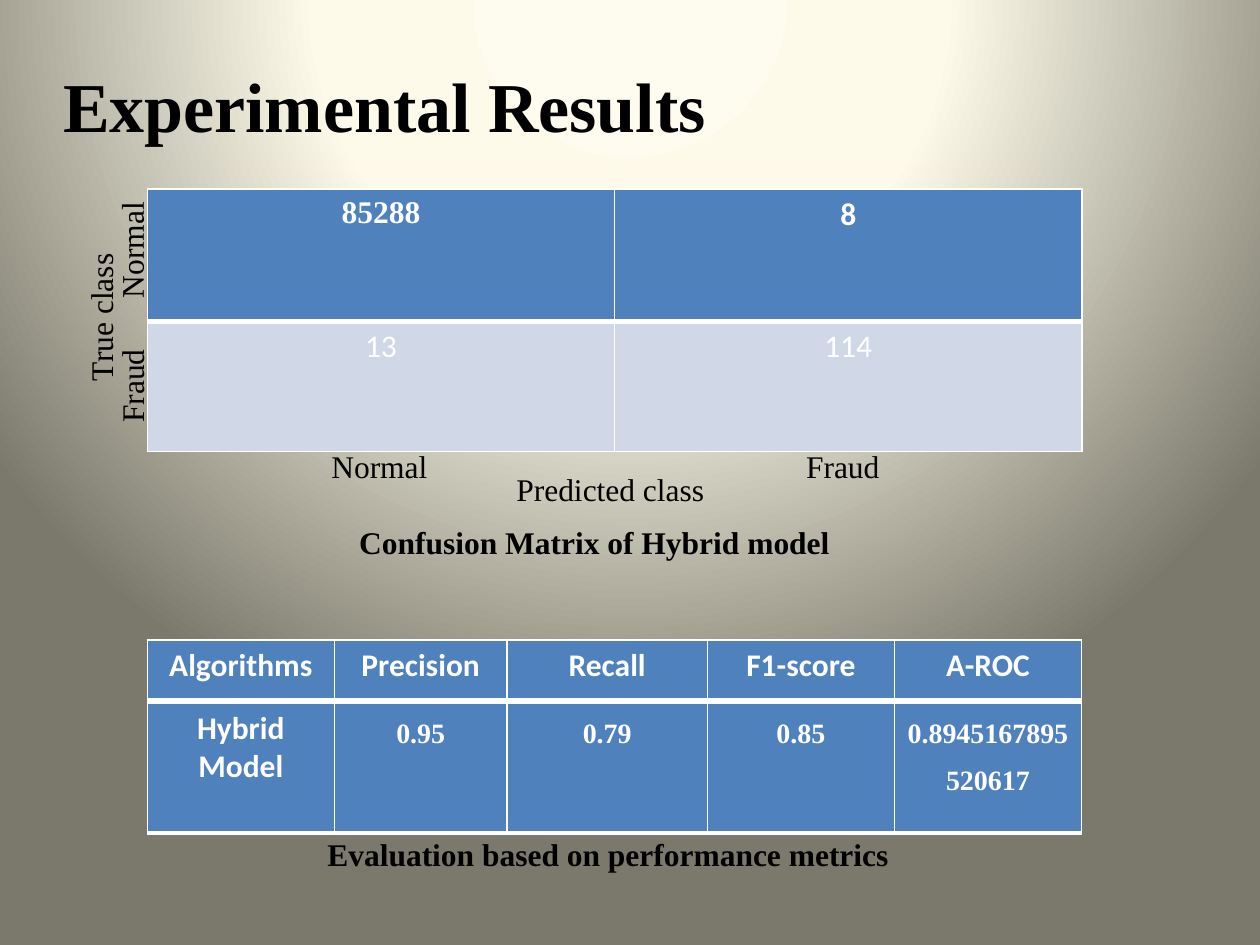
from lxml import etree
from pptx import Presentation
from pptx import util as u
from pptx.dml.color import RGBColor
from pptx.enum import text
from pptx.oxml import parse_xml
from pptx.oxml.ns import nsdecls

COLORS = {"ink": "000000", "white": "FFFFFF", "blue": "4F81BD", "pale": "D0D8E8",
          "cream": "FEFCEE", "ivory": "FDFAEA", "olive": "7B796B"}
SERIF, SANS = "Times New Roman", "Calibri"
LEFT = 2.97


def write(frame, words, size=18, font=SERIF, color="ink", bold=False, align="LEFT", spacing=None):
    para = frame.paragraphs[0]
    para.alignment = getattr(text.PP_ALIGN, align)
    para.line_spacing = spacing
    span = para.add_run()
    span.text = words
    span.font.size = u.Pt(size)
    span.font.name = font
    span.font.bold = bold
    span.font.color.rgb = RGBColor.from_string(COLORS[color])


def style_cell(cell, fill, bottom):
    """Give a cell white borders, a bottom border of its own width, and a solid fill."""
    props = cell._tc.get_or_add_tcPr()
    for side, points in (("L", 1), ("R", 1), ("T", 1), ("B", bottom)):
        props.append(parse_xml(
            f'<a:ln{side} {nsdecls("a")} w="{u.Pt(points)}"><a:solidFill>'
            f'<a:srgbClr val="{COLORS["white"]}"/></a:solidFill></a:ln{side}>'))
    cell.fill.solid()
    cell.fill.fore_color.rgb = RGBColor.from_string(COLORS[fill])


deck = Presentation()
deck.slide_width, deck.slide_height = u.Cm(25.4), u.Cm(19.05)
page = deck.slides.add_slide(deck.slide_layouts[5])

# Radial background
page.background.fill.gradient()
gradient = page.background._cSld.bg.bgPr[0]
for child in list(gradient):
    gradient.remove(child)
stops = etree.SubElement(gradient, "{%s}gsLst" % gradient.nsmap["a"])
for position, name in ((0, "cream"), (40, "ivory"), (100, "olive")):
    stops.append(parse_xml(f'<a:gs {nsdecls("a")} pos="{position * 1000}">'
                           f'<a:srgbClr val="{COLORS[name]}"/></a:gs>'))
gradient.append(parse_xml(
    f'<a:path {nsdecls("a")} path="circle">'
    '<a:fillToRect l="50000" t="-80000" r="50000" b="180000"/></a:path>'))

title = page.shapes.title
title.left, title.top, title.width, title.height = u.Cm(1.27), u.Cm(1.27), u.Cm(22.58), u.Cm(1.7)
frame = title.text_frame
frame.margin_left = frame.margin_right = frame.margin_top = frame.margin_bottom = 0
frame.vertical_anchor = text.MSO_ANCHOR.TOP
frame.auto_size = text.MSO_AUTO_SIZE.NONE
write(frame, "Experimental Results", size=40, bold=True)

# Tables: top, column widths, rows of (height, fill, bottom border, cells)
head = dict(font=SANS, bold=True)
plain = dict(font=SANS)
figure = dict(size=16, bold=True, spacing=1.5)
metric_columns = [3.77, 3.48, 4.04, 3.77, 3.77]
tables = [
    (12.9, metric_columns, [
        (1.22, "blue", 3, [(name, head) for name in
                           ("Algorithms", "Precision", "Recall", "F1-score", "A-ROC")])]),
    (14.17, metric_columns, [
        (2.62, "blue", 3, [("Hybrid Model", head)] + [
            (value, figure) for value in ("0.95", "0.79", "0.85", "0.8945167895520617")])]),
    (3.81, [9.42, 9.42], [
        (2.67, "blue", 3, [("85288", dict(bold=True)), ("8", head)]),
        (2.62, "pale", 1, [("13", plain), ("114", plain)])]),
]
for top, widths, rows in tables:
    table = page.shapes.add_table(
        len(rows), len(widths), u.Cm(LEFT), u.Cm(top), u.Cm(sum(widths)),
        u.Cm(sum(row[0] for row in rows))).table
    for column, width in zip(table.columns, widths):
        column.width = u.Cm(width)
    for r, (height, fill, bottom, cells) in enumerate(rows):
        table.rows[r].height = u.Cm(height)
        for c, (words, look) in enumerate(cells):
            cell = table.cell(r, c)
            style_cell(cell, fill, bottom)
            if look is figure:
                cell.margin_left = cell.margin_right = u.Cm(0.18)
                cell.margin_top = cell.margin_bottom = 0
            write(cell.text_frame, words, color="white", align="CENTER", **look)

# Axis labels and captions: words, left, top, width, rotation, bold, wrap
labels = [
    ("Normal", 6.43, 8.89, 2.46, 0, False, False),
    ("Fraud", 16, 8.89, 2.01, 0, False, False),
    ("Normal", 1.42, 4.52, 2.46, 270, False, True),
    ("Fraud", 1.65, 7.26, 2.01, 270, False, False),
    ("True class", 0.48, 5.87, 3.1, 270, False, False),
    ("Predicted class", 10.16, 9.35, 4.37, 0, False, False),
    ("Confusion Matrix of Hybrid model", 6.99, 10.41, 10.36, 0, True, True),
    ("Evaluation based on performance metrics", 6.35, 16.71, 11.99, 0, True, False),
]
for words, left, top, width, rotation, bold, wrap in labels:
    box = page.shapes.add_textbox(u.Cm(left), u.Cm(top), u.Cm(width), u.Cm(1.02))
    box.rotation = rotation
    box.text_frame.word_wrap = wrap
    box.text_frame.auto_size = text.MSO_AUTO_SIZE.SHAPE_TO_FIT_TEXT
    write(box.text_frame, words, bold=bold)

deck.save("out.pptx")
